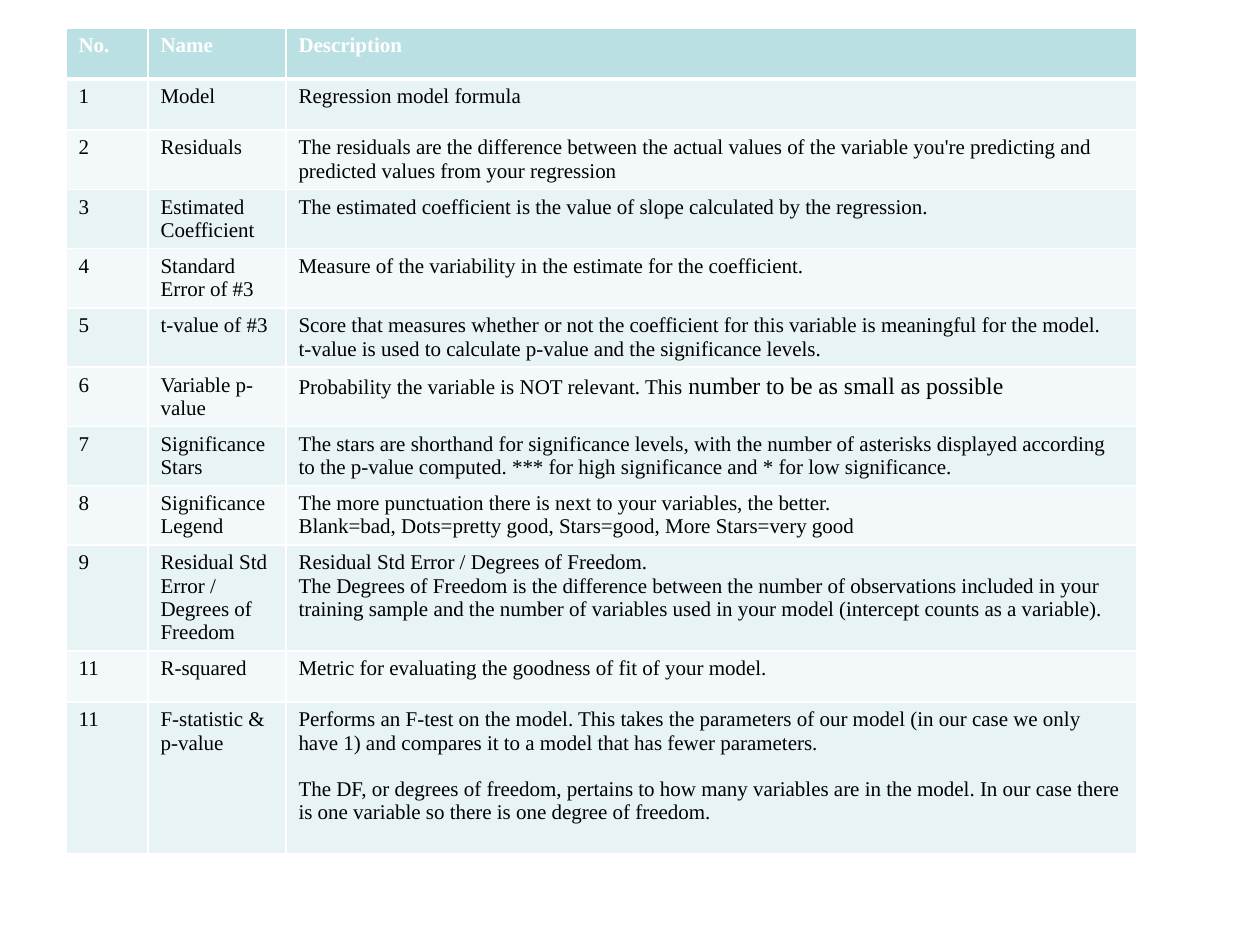
from dataclasses import dataclass

from lxml import etree
from pptx import Presentation
from pptx.dml.color import RGBColor
from pptx.oxml.ns import qn
from pptx.table import _Cell
from pptx.util import Emu, Pt

PX_PER_INCH = 126
EMU_PER_INCH = 914400
FONT = "Times New Roman"
BODY_SIZE = 12
WHITE, BLACK = "FFFFFF", "000000"
HEADER_FILL = "BBE0E3"
BAND_FILLS = ("E7F3F4", "F3F9FA")
THIN, THICK = 1, 3
ONE_LINE, TWO_LINES, FOUR_LINES, SIX_LINES = 51, 59, 106, 152
LEFT, TOP = 66, 28
COLUMN_WIDTHS = (82, 138, 851)


@dataclass(frozen=True)
class Run:
    text: str
    size: float = BODY_SIZE


@dataclass(frozen=True)
class Paragraph:
    runs: tuple[Run, ...]
    gap_before: int = 0


@dataclass(frozen=True)
class Entry:
    number: str
    name: str
    description: tuple[Paragraph, ...]
    height: int = TWO_LINES


@dataclass(frozen=True)
class CellStyle:
    fill: str
    color: str
    bold: bool
    top_border: float
    bottom_border: float


def px(length: int) -> Emu:
    return Emu(round(length * EMU_PER_INCH / PX_PER_INCH))


def rgb(color: str) -> RGBColor:
    return RGBColor.from_string(color)


def plain(*texts: str) -> tuple[Paragraph, ...]:
    return tuple(Paragraph((Run(text),)) for text in texts)


ENTRIES = (
    Entry("No.", "Name", plain("Description"), ONE_LINE),
    Entry("1", "Model", plain("Regression model formula"), ONE_LINE),
    Entry("2", "Residuals", plain(
        "The residuals are the difference between the actual values of the variable "
        "you're predicting and predicted values from your regression")),
    Entry("3", "Estimated Coefficient", plain(
        "The estimated coefficient is the value of slope calculated by the regression.")),
    Entry("4", "Standard Error of #3", plain(
        "Measure of the variability in the estimate for the coefficient.")),
    Entry("5", "t-value of #3", plain(
        "Score that measures whether or not the coefficient for this variable is "
        "meaningful for the model.",
        "t-value is used to calculate p-value and the significance levels.")),
    Entry("6", "Variable p-value", (Paragraph((
        Run("Probability the variable is NOT relevant. This "),
        Run("number to be as small as possible", 13.5))),)),
    Entry("7", "Significance Stars", plain(
        "The stars are shorthand for significance levels, with the number of asterisks "
        "displayed according to the p-value computed. *** for high significance and "
        "* for low significance.")),
    Entry("8", "Significance Legend", plain(
        "The more punctuation there is next to your variables, the better.",
        "Blank=bad, Dots=pretty good, Stars=good, More Stars=very good")),
    Entry("9", "Residual Std Error / Degrees of Freedom", plain(
        "Residual Std Error / Degrees of Freedom.",
        "The Degrees of Freedom is the difference between the number of observations "
        "included in your training sample and the number of variables used in your "
        "model (intercept counts as a variable)."), FOUR_LINES),
    Entry("11", "R-squared", plain(
        "Metric for evaluating the goodness of fit of your model."), ONE_LINE),
    Entry("11", "F-statistic & p-value", (
        *plain("Performs an F-test on the model. This takes the parameters of our model "
               "(in our case we only have 1) and compares it to a model that has fewer "
               "parameters."),
        Paragraph((Run(
            "The DF, or degrees of freedom, pertains to how many variables are in the "
            "model. In our case there is one variable so there is one degree of "
            "freedom."),), gap_before=23)), SIX_LINES),
)


def style_for(row: int) -> CellStyle:
    if row == 0:
        return CellStyle(HEADER_FILL, WHITE, True, THIN, THICK)
    fill = BAND_FILLS[(row - 1) % 2]
    return CellStyle(fill, BLACK, False, THICK if row == 1 else THIN, THIN)


def set_borders(cell: _Cell, style: CellStyle) -> None:
    properties = cell._tc.get_or_add_tcPr()
    widths = (("a:lnL", THIN), ("a:lnR", THIN),
              ("a:lnT", style.top_border), ("a:lnB", style.bottom_border))
    for position, (tag, width) in enumerate(widths):
        line = etree.Element(qn(tag), w=str(Pt(width)))
        fill = etree.SubElement(line, qn("a:solidFill"))
        etree.SubElement(fill, qn("a:srgbClr"), val=WHITE)
        properties.insert(position, line)


def fill_cell(cell: _Cell, paragraphs: tuple[Paragraph, ...], style: CellStyle) -> None:
    cell.fill.solid()
    cell.fill.fore_color.rgb = rgb(style.fill)
    set_borders(cell, style)
    frame = cell.text_frame
    for index, content in enumerate(paragraphs):
        paragraph = frame.add_paragraph() if index else frame.paragraphs[0]
        if content.gap_before:
            paragraph.space_before = px(content.gap_before)
        for part in content.runs:
            run = paragraph.add_run()
            run.text = part.text
            run.font.name = FONT
            run.font.size = Pt(part.size)
            run.font.bold = style.bold
            run.font.color.rgb = rgb(style.color)


def main() -> None:
    presentation = Presentation()
    presentation.slide_width = px(1260)
    presentation.slide_height = px(945)
    slide = presentation.slides.add_slide(presentation.slide_layouts[6])
    glossary = slide.shapes.add_table(
        len(ENTRIES), len(COLUMN_WIDTHS), px(LEFT), px(TOP),
        px(sum(COLUMN_WIDTHS)), px(sum(entry.height for entry in ENTRIES))).table
    glossary.horz_banding = False
    for column, width in zip(glossary.columns, COLUMN_WIDTHS):
        column.width = px(width)
    for row, entry in enumerate(ENTRIES):
        glossary.rows[row].height = px(entry.height)
        contents = (plain(entry.number), plain(entry.name), entry.description)
        for column, paragraphs in enumerate(contents):
            fill_cell(glossary.cell(row, column), paragraphs, style_for(row))
    presentation.save("out.pptx")


if __name__ == "__main__":
    main()
